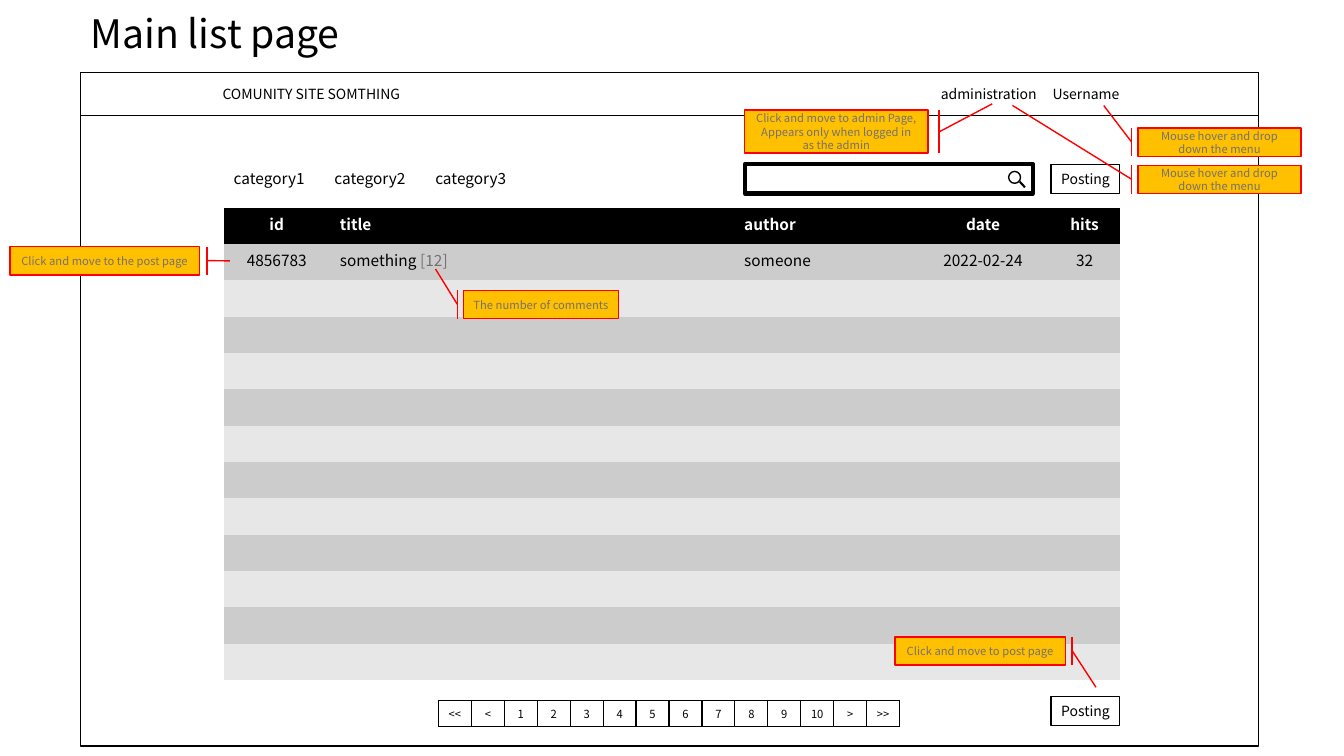
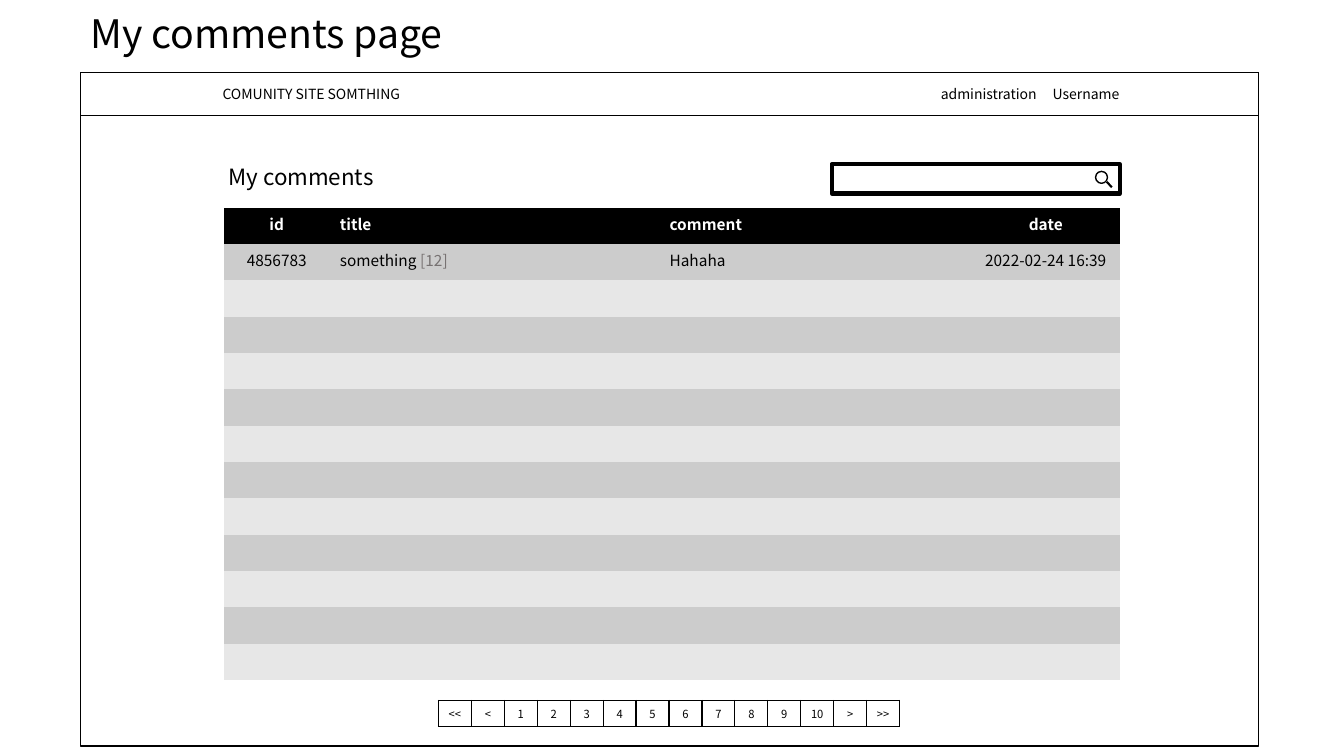
from dataclasses import dataclass
from typing import Any, NamedTuple

from lxml.etree import SubElement
from pptx import Presentation
from pptx.dml.color import RGBColor
from pptx.enum.shapes import MSO_CONNECTOR, MSO_SHAPE
from pptx.enum.text import MSO_ANCHOR, MSO_AUTO_SIZE, PP_ALIGN
from pptx.oxml.ns import qn
from pptx.util import Cm, Pt

COLORS = {
    "ink": "000000",
    "paper": "FFFFFF",
    "muted": "767171",
    "band_dark": "CCCCCC",
    "band_light": "E7E7E7",
    "note": "FFC000",
    "note_line": "FF0000",
}
FONT = "Noto Sans CJK KR"
PLAIN_TABLE = "{2D5ABB26-0587-4C30-8999-92F81FD0307C}"
LEFT, CENTER = PP_ALIGN.LEFT, PP_ALIGN.CENTER

CENTERED_FRAME = {"word_wrap": True, "vertical_anchor": MSO_ANCHOR.MIDDLE}
BUTTON_FRAME = {"word_wrap": False, "vertical_anchor": MSO_ANCHOR.MIDDLE}
HEADER_FRAME = CENTERED_FRAME | {"margin_left": Cm(3.58)}
TITLE_FRAME = CENTERED_FRAME | {"auto_size": MSO_AUTO_SIZE.NONE}
LABEL_FRAME = {"word_wrap": True, "auto_size": MSO_AUTO_SIZE.SHAPE_TO_FIT_TEXT}
PAGER_CELL = {"margin_left": 0, "margin_right": 0}

TABLE_ROWS = 13
PAGES = ["<<", "<", *map(str, range(1, 11)), ">", ">>"]


class Box(NamedTuple):
    """A place and size in centimetres."""
    left: float
    top: float
    width: float
    height: float

    def lengths(self) -> list[int]:
        """Give the four values as slide lengths."""
        return [Cm(value) for value in self]


class Run(NamedTuple):
    """A stretch of text in one colour."""
    text: str
    color: str = "ink"


class Column(NamedTuple):
    """A column of the post list: its heading and the first entry."""
    heading: str
    width: float
    entry: list[Run]
    align: PP_ALIGN = LEFT


@dataclass
class Note:
    """A callout with its pointer (y1, x1, y2, x2 as shares of its size)."""
    box: Box
    lines: list[str]
    pointer: tuple[float, float, float, float]
    flipped: bool = False


PAGE_FRAME = Box(2.03, 1.83, 29.69, 16.97)
HEADER = Box(2.03, 1.83, 29.69, 1.09)
TITLE = Box(2.03, 0.2, 29.21, 1.42)
POST_LIST = Box(5.64, 5.23, 22.58, 11.91)
PAGER = Box(11.05, 17.65, 11.63, 0.61)
POSTING_BUTTONS = [Box(26.49, top, 1.73, 0.74) for top in (4.14, 17.55)]

ID_COLUMN = Column("id", 2.67, [Run("4856783")], CENTER)
TITLE_ENTRY = [Run("something "), Run("[12]", "muted")]
MAIN_COLUMNS = [
    ID_COLUMN,
    Column("title", 10.19, TITLE_ENTRY),
    Column("author", 4.6, [Run("someone")]),
    Column("date", 3.35, [Run("2022-02-24")], CENTER),
    Column("hits", 1.77, [Run("32")], CENTER),
]
COMMENT_COLUMNS = [
    ID_COLUMN,
    Column("title", 8.31, TITLE_ENTRY),
    Column("comment", 7.87, [Run("Hahaha")]),
    Column("date", 3.73, [Run("2022-02-24 16:39")], CENTER),
]

HOVER = ["Mouse hover and drop down the menu"]
NOTES = [
    Note(Box(18.77, 2.77, 4.62, 1.09),
         ["Click and move to admin Page,", "Appears only when logged in as the admin"],
         (0.51, -0.06, -0.14, -0.35), True),
    Note(Box(11.68, 7.32, 3.91, 0.71), ["The number of comments"],
         (0.49, -0.04, -0.76, -0.18)),
    Note(Box(28.68, 3.23, 4.11, 0.71), HOVER, (0.49, -0.04, -0.8, -0.21)),
    Note(Box(22.56, 16.05, 4.29, 0.71), ["Click and move to post page"],
         (0.49, -0.04, 1.79, -0.18), True),
    Note(Box(0.25, 6.22, 4.78, 0.71), ["Click and move to the post page"],
         (0.49, -0.04, 0.5, -0.16), True),
    Note(Box(28.68, 4.17, 4.11, 0.71), HOVER, (0.49, -0.04, -2.13, -0.77)),
]


def rgb(name: str) -> RGBColor:
    """Look up a named colour."""
    return RGBColor.from_string(COLORS[name])


def apply(target: Any, formats: dict[str, Any]) -> None:
    """Set each format value on the target."""
    for name, value in formats.items():
        setattr(target, name, value)


def write(paragraph: Any, runs: list[Run], size: float,
          align: PP_ALIGN = LEFT, bold: bool = False) -> None:
    """Fill a paragraph with formatted runs."""
    paragraph.alignment = align
    for part in runs:
        run = paragraph.add_run()
        run.text = part.text
        apply(run.font, {"name": FONT, "size": Pt(size), "bold": bold})
        run.font.color.rgb = rgb(part.color)


def set_tabs(paragraph: Any, stops: list[float]) -> None:
    """Give a paragraph left tab stops."""
    tab_list = SubElement(paragraph._p.get_or_add_pPr(), qn("a:tabLst"))
    for stop in stops:
        SubElement(tab_list, qn("a:tab"), pos=str(int(Cm(stop))), algn="l")


def add_outline(slide: Any, kind: MSO_SHAPE, box: Box, weight: float = 1,
                line: str = "ink", fill: str = "") -> Any:
    """Draw an outlined shape, filled if a fill colour is named."""
    shape = slide.shapes.add_shape(kind, *box.lengths())
    shape.shadow.inherit = False
    if fill:
        shape.fill.solid()
        shape.fill.fore_color.rgb = rgb(fill)
    else:
        shape.fill.background()
    shape.line.width = Pt(weight)
    shape.line.color.rgb = rgb(line)
    return shape


def add_label(slide: Any, box: Box, text: str, size: float) -> Any:
    """Add a line of free text and return its paragraph."""
    frame = slide.shapes.add_textbox(*box.lengths()).text_frame
    apply(frame, LABEL_FRAME)
    write(frame.paragraphs[0], [Run(text)], size)
    return frame.paragraphs[0]


def add_search(slide: Any, left: float) -> None:
    """Draw the search field with its magnifier."""
    top = 4.14
    add_outline(slide, MSO_SHAPE.RECTANGLE, Box(left, top, 7.26, 0.74), 3)
    add_outline(slide, MSO_SHAPE.OVAL, Box(left + 6.65, top + 0.18, 0.3, 0.3))
    handle = slide.shapes.add_connector(
        MSO_CONNECTOR.STRAIGHT, Cm(left + 6.93), Cm(top + 0.44),
        Cm(left + 7.06), Cm(top + 0.58))
    handle.line.width = Pt(1.5)
    handle.line.color.rgb = rgb("ink")
    SubElement(handle._element.spPr, qn("a:effectLst"))


def add_grid(slide: Any, box: Box, rows: int, widths: list[float]) -> Any:
    """Add a table without a style of its own."""
    table = slide.shapes.add_table(rows, len(widths), *box.lengths()).table
    apply(table, {"first_row": False, "horz_banding": False})
    table._tbl.tblPr.find(qn("a:tableStyleId")).text = PLAIN_TABLE
    for column, width in zip(table.columns, widths):
        column.width = Cm(width)
    for row in table.rows:
        row.height = Cm(box.height / rows)
    return table


def add_post_list(slide: Any, columns: list[Column]) -> None:
    """Draw the banded list with a heading row and one entry."""
    table = add_grid(slide, POST_LIST, TABLE_ROWS, [c.width for c in columns])
    for row in range(TABLE_ROWS):
        band = "ink" if row == 0 else ("band_light", "band_dark")[row % 2]
        for index, column in enumerate(columns):
            cell = table.cell(row, index)
            cell.fill.solid()
            cell.fill.fore_color.rgb = rgb(band)
            paragraph = cell.text_frame.paragraphs[0]
            if row == 0:
                write(paragraph, [Run(column.heading, "paper")], 11, column.align, True)
            elif row == 1:
                write(paragraph, column.entry, 11, column.align)
            else:
                SubElement(paragraph._p, qn("a:endParaRPr"), sz="1100")


def add_pager(slide: Any) -> None:
    """Draw the row of page numbers."""
    table = add_grid(slide, PAGER, 1, [PAGER.width / len(PAGES)] * len(PAGES))
    for cell, page in zip(table.rows[0].cells, PAGES):
        apply(cell, PAGER_CELL)
        write(cell.text_frame.paragraphs[0], [Run(page)], 8, CENTER)
        properties = cell._tc.get_or_add_tcPr()
        for side in ("lnL", "lnR", "lnT", "lnB"):
            border = SubElement(properties, qn(f"a:{side}"), w=str(int(Pt(1))))
            solid = SubElement(border, qn("a:solidFill"))
            SubElement(solid, qn("a:srgbClr"), val=COLORS["ink"])
        cell.fill.background()


def add_button(slide: Any, box: Box, text: str) -> None:
    """Draw an outlined button."""
    frame = add_outline(slide, MSO_SHAPE.RECTANGLE, box).text_frame
    apply(frame, BUTTON_FRAME)
    write(frame.paragraphs[0], [Run(text)], 10, CENTER)


def add_note(slide: Any, note: Note) -> None:
    """Draw a callout that explains a part of the page."""
    callout = add_outline(slide, MSO_SHAPE.LINE_CALLOUT_1_BORDER_AND_ACCENT_BAR,
                          note.box, line="note_line", fill="note")
    for index, share in enumerate(note.pointer):
        callout.adjustments[index] = share
    if note.flipped:
        callout._element.spPr.find(qn("a:xfrm")).set("flipH", "1")
    frame = callout.text_frame
    apply(frame, CENTERED_FRAME)
    for index, line in enumerate(note.lines):
        paragraph = frame.add_paragraph() if index else frame.paragraphs[0]
        write(paragraph, [Run(line, "muted")], 8, CENTER)


def add_page(deck: Any, heading: str, columns: list[Column], search_left: float) -> Any:
    """Add a slide with everything that the pages share."""
    slide = deck.slides.add_slide(deck.slide_layouts[5])
    title = slide.shapes.title
    apply(title, dict(zip(Box._fields, TITLE.lengths())))
    apply(title.text_frame, TITLE_FRAME)
    paragraph = title.text_frame.paragraphs[0]
    paragraph.line_spacing = 0.9
    write(paragraph, [Run(heading)], 28)

    add_outline(slide, MSO_SHAPE.RECTANGLE, PAGE_FRAME)
    header = add_outline(slide, MSO_SHAPE.RECTANGLE, HEADER).text_frame
    apply(header, HEADER_FRAME)
    menu = Run("COMUNITY SITE SOMTHING\tadministration\tUsername")
    write(header.paragraphs[0], [menu], 10)
    set_tabs(header.paragraphs[0], [18.1, 20.92])

    add_post_list(slide, columns)
    add_search(slide, search_left)
    add_pager(slide)
    return slide


def main() -> None:
    """Build the two pages and save them."""
    deck = Presentation()
    apply(deck, {"slide_width": Cm(33.87), "slide_height": Cm(19.05)})

    main_list = add_page(deck, "Main list page", MAIN_COLUMNS, 18.77)
    categories = add_label(main_list, Box(5.64, 4.14, 15.32, 0.74),
                           "category1\tcategory2\tcategory3", 11)
    set_tabs(categories, [2.54, 5.08])
    for box in POSTING_BUTTONS:
        add_button(main_list, box, "Posting")
    for note in NOTES:
        add_note(main_list, note)

    comments = add_page(deck, "My comments page", COMMENT_COLUMNS, 20.96)
    add_label(comments, Box(5.51, 3.99, 5.54, 0.94), "My comments", 16)

    deck.save("out.pptx")


main()
